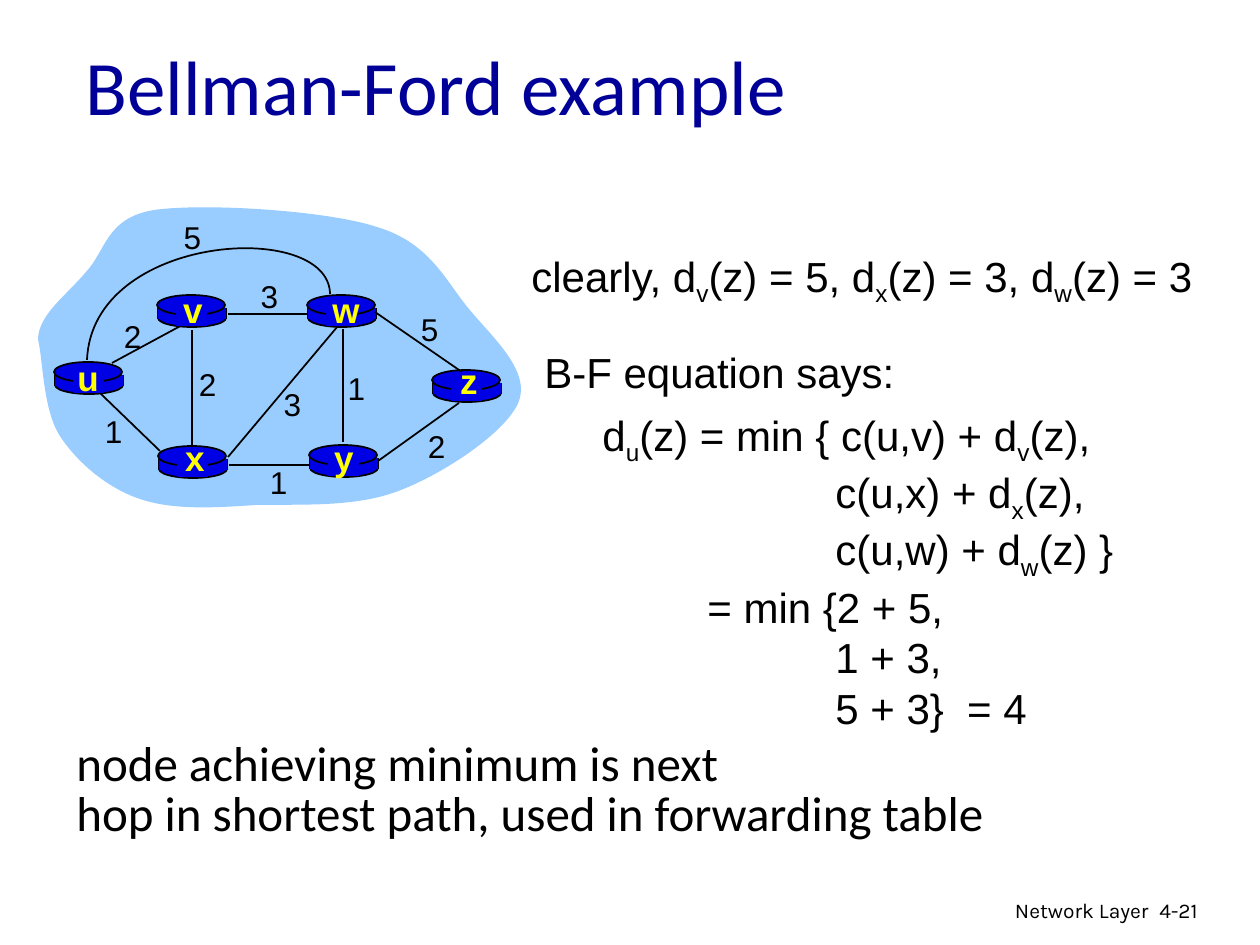
from lxml.etree import SubElement
from pptx import Presentation
from pptx.dml.color import RGBColor
from pptx.enum.shapes import MSO_CONNECTOR, MSO_SHAPE
from pptx.enum.text import MSO_ANCHOR, PP_ALIGN
from pptx.oxml.ns import qn
from pptx.util import Pt

SCALE = 914400 / 126
BLACK, BLUE, YELLOW = "000000", "0000E5", "FFFF00"

CLOUD = [
    (0, 136), (1, 111), (29, 92), (48, 69), (68, 48), (68, 15), (116, 7),
    (165, 0), (287, 7), (339, 24), (392, 40), (407, 77), (431, 106),
    (455, 135), (492, 167), (481, 198), (470, 228), (407, 270), (363, 287),
    (319, 305), (261, 301), (218, 302), (174, 305), (135, 307), (102, 296),
    (69, 285), (39, 259), (22, 233), (5, 207), (5, 156), (0, 136),
]
LONG_LINK = [(292, 91), (291, 16), (54, 30), (49, 157)]
HIDDEN_LINK = (74, 160, 148, 120)
LINKS = [
    (305, 126, 305, 239), (154, 127, 154, 244), (190, 254, 300, 123),
    (340, 258, 421, 200), (271, 262, 191, 262), (122, 248, 62, 190),
    (269, 111, 190, 111), (424, 169, 337, 109),
]
ROUTERS = {
    "u": ((16, 159), (50, 147)), "x": ((120, 243), (157, 227)),
    "v": ((119, 92), (155, 79)), "w": ((269, 92), (305, 79)),
    "y": ((271, 242), (306, 227)), "z": ((394, 167), (431, 150)),
}
COSTS = [
    ("2", 73, 108), ("2", 148, 156), ("1", 54, 203), ("3", 233, 176),
    ("1", 219, 254), ("1", 297, 160), ("2", 377, 218), ("5", 370, 101),
    ("3", 210, 68), ("5", 133, 9),
]
EQUATION = [
    ("d_u(z) = min { c(u,v) + d_v(z),", 0),
    ("c(u,x) + d_x(z),", 233),
    ("c(u,w) + d_w(z) }", 233),
    ("= min {2 + 5,", 105),
    ("1 + 3,", 233),
    ("5 + 3}  = 4", 233),
]


def px(length):
    return round(length * SCALE)


def color(value):
    return RGBColor.from_string(value)


def add_span(para, text, lowered=False):
    span = para.add_run()
    span.text = text
    if lowered:
        span._r.get_or_add_rPr().set("baseline", "-25000")


def add_text(shapes, text, box, font="Arial", size=24, fill=BLACK, bold=False,
             align=PP_ALIGN.LEFT, anchor=MSO_ANCHOR.TOP, wrap=True,
             spacing=None, indents=()):
    frame = shapes.add_textbox(*map(px, box)).text_frame
    frame.word_wrap = wrap
    frame.vertical_anchor = anchor
    for index, line in enumerate(text.split("\n")):
        para = frame.paragraphs[0] if index == 0 else frame.add_paragraph()
        para.alignment = align
        if spacing:
            para.line_spacing = spacing
        if indents:
            para._p.get_or_add_pPr().set("marL", str(px(indents[index])))
        first, *rest = line.split("_")
        add_span(para, first)
        for part in rest:
            add_span(para, part[0], lowered=True)
            add_span(para, part[1:])
        for span in para.runs:
            span.font.name = font
            span.font.size = Pt(size)
            span.font.bold = bold
            span.font.color.rgb = color(fill)


def paint(shape, fill=None, line=None):
    shape.shadow.inherit = False
    if fill:
        shape.fill.solid()
        shape.fill.fore_color.rgb = color(fill)
    else:
        shape.fill.background()
    if line:
        shape.line.color.rgb = color(line)
        shape.line.width = Pt(1)
    else:
        shape.line.fill.background()


def add_solid(shapes, kind, box, line=None):
    paint(shapes.add_shape(kind, *map(px, box)), BLUE, line)


def add_line(shapes, x1, y1, x2, y2):
    line = shapes.add_connector(MSO_CONNECTOR.STRAIGHT, px(x1), px(y1), px(x2), px(y2))
    line.line.color.rgb = color(BLACK)
    line.line.width = Pt(1)
    SubElement(line._element.spPr, qn("a:effectLst"))


def add_curve(shapes, points, left, top, closed=False, **look):
    builder = shapes.build_freeform(*points[0], scale=SCALE)
    builder.add_line_segments(points[1:], close=closed)
    shape = builder.convert_to_shape(px(left), px(top))
    segments = list(shape._element.iter(qn("a:lnTo")))
    for start in range(0, len(segments), 3):
        curve = segments[start]
        curve.tag = qn("a:cubicBezTo")
        for segment in segments[start + 1:start + 3]:
            curve.append(segment[0])
            segment.getparent().remove(segment)
    paint(shape, **look)


def draw_router(shapes, left, top):
    add_solid(shapes, MSO_SHAPE.OVAL, (left + 1, top + 14, 68, 18), BLACK)
    for side in (left + 1, left + 69):
        add_line(shapes, side, top + 13, side, top + 24)
    add_solid(shapes, MSO_SHAPE.RECTANGLE, (left + 1, top + 13, 68, 11))
    add_solid(shapes, MSO_SHAPE.OVAL, (left, top, 68, 20), BLACK)


def draw_network(page, left, top):
    shapes = page.shapes.add_group_shape().shapes

    def link(x1, y1, x2, y2):
        add_line(shapes, left + x1, top + y1, left + x2, top + y2)

    add_curve(shapes, CLOUD, left, top, closed=True, fill="99CCFF")
    link(*HIDDEN_LINK)
    for (x, y), _ in ROUTERS.values():
        draw_router(shapes, left + x, top + y)
    for ends in LINKS:
        link(*ends)
    add_curve(shapes, LONG_LINK, left, top, line=BLACK)
    for name, ((x, y), (middle, letter_top)) in ROUTERS.items():
        add_solid(shapes, MSO_SHAPE.RECTANGLE, (left + x + 19, top + y + 2, 31, 29))
        add_text(shapes, name, (left + middle - 23, top + letter_top, 46, 55),
                 size=20, fill=YELLOW, bold=True, align=PP_ALIGN.CENTER, wrap=False)
    for cost, x, y in COSTS:
        add_text(shapes, cost, (left + x, top + y, 43, 50), size=18,
                 align=PP_ALIGN.CENTER, wrap=False)


def draw_equation(page, left, top):
    shapes = page.shapes
    add_text(shapes, "clearly, d_v(z) = 5, d_x(z) = 3, d_w(z) = 3", (left, top, 710, 63))
    add_text(shapes, "B-F equation says:", (left + 13, top + 96, 390, 63))
    lines, indents = zip(*EQUATION)
    add_text(shapes, "\n".join(lines), (left + 71, top + 159, 560, 315), indents=indents)


def draw_footer(page, left, top):
    add_text(page.shapes, "Network Layer", (left, top, 399, 39), font="Karla",
             size=12, align=PP_ALIGN.RIGHT)
    add_text(page.shapes, "4-21", (left + 385, top, 93, 38), font="Karla", size=12)


def main():
    deck = Presentation()
    deck.slide_width, deck.slide_height = px(1260), px(945)
    page = deck.slides.add_slide(deck.slide_layouts[6])
    draw_footer(page, 762, 891)
    add_text(page.shapes, "Bellman-Ford example", (73, 24, 1071, 121), font="Calibri",
             size=44, fill="000099", anchor=MSO_ANCHOR.MIDDLE)
    draw_network(page, 38, 203)
    draw_equation(page, 519, 244)
    add_text(page.shapes,
             "node achieving minimum is next\nhop in shortest path, used in forwarding table",
             (64, 735, 950, 113), font="Calibri", size=28, spacing=0.85)
    deck.save("out.pptx")


if __name__ == "__main__":
    main()
